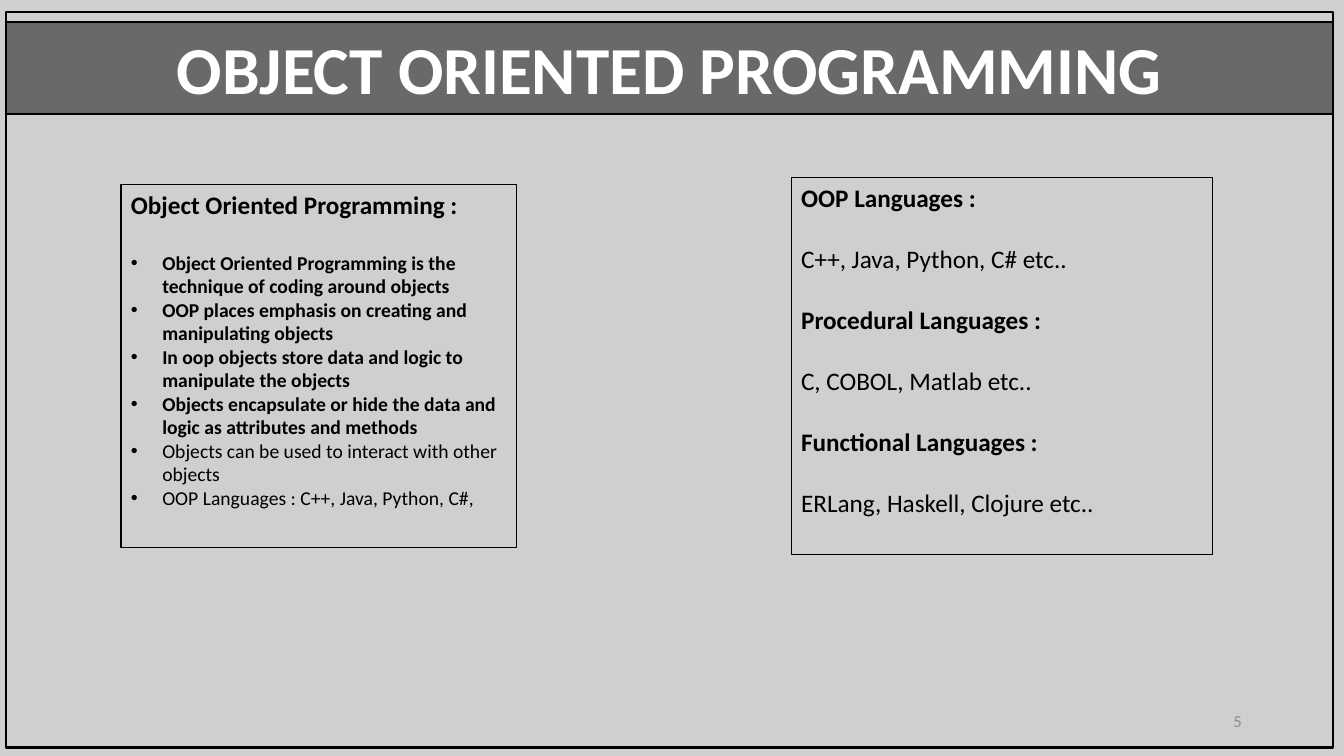
from lxml import etree
from pptx import Presentation
from pptx.dml.color import RGBColor
from pptx.enum.shapes import MSO_SHAPE
from pptx.enum.text import MSO_ANCHOR, PP_ALIGN
from pptx.oxml.ns import qn
from pptx.util import Cm, Pt

RECTANGLE = MSO_SHAPE.RECTANGLE
TOP, MIDDLE = MSO_ANCHOR.TOP, MSO_ANCHOR.MIDDLE
LEFT, CENTER, RIGHT = PP_ALIGN.LEFT, PP_ALIGN.CENTER, PP_ALIGN.RIGHT

BLACK, WHITE, GRAY, BACKDROP = "000000", "FFFFFF", "8C8C8C", "D0CECE"
BLANK_LINE = 22

TECHNIQUES = [
    ("Object Oriented Programming is the technique of coding around objects", True),
    ("OOP places emphasis on creating and manipulating objects", True),
    ("In oop objects store data and logic to manipulate the objects", True),
    ("Objects encapsulate or hide the data and logic as attributes and methods", True),
    ("Objects can be used to interact with other objects", False),
    ("OOP Languages : C++, Java, Python, C#,", False),
]
LANGUAGES = [
    ("OOP Languages :", "C++, Java, Python, C# etc.."),
    ("Procedural Languages :", "C, COBOL, Matlab etc.."),
    ("Functional Languages :", "ERLang, Haskell, Clojure etc.."),
]


def color(value):
    return RGBColor.from_string(value)


class SlideBuilder:
    font_name = "Calibri"

    def __init__(self, deck):
        self.page = deck.slides.add_slide(deck.slide_layouts[6])

    def background(self, value):
        fill = self.page.background.fill
        fill.solid()
        fill.fore_color.rgb = color(value)

    def frame(self, left, top, width, height, line_width, fill=None, opacity=100):
        box = self.page.shapes.add_shape(RECTANGLE, Cm(left), Cm(top), Cm(width), Cm(height))
        box.shadow.inherit = False
        box.line.color.rgb = color(BLACK)
        box.line.width = Pt(line_width)
        if fill:
            box.fill.solid()
            box.fill.fore_color.rgb = color(fill)
            shade = box.fill._xPr.find(".//" + qn("a:srgbClr"))
            etree.SubElement(shade, qn("a:alpha"), val=str(opacity * 1000))
        else:
            box.fill.background()
        return self.prepare(box, TOP)

    def text_box(self, left, top, width, height):
        box = self.page.shapes.add_textbox(Cm(left), Cm(top), Cm(width), Cm(height))
        return self.prepare(box, MIDDLE)

    def prepare(self, box, anchor):
        for name, value in {"word_wrap": True, "vertical_anchor": anchor}.items():
            setattr(box.text_frame, name, value)
        return box

    def paragraph(self, box, text, size=18, bold=False, ink=BLACK, align=LEFT, before=0, bullet=False):
        frame = box.text_frame
        para = frame.paragraphs[0]
        if para.runs:
            para = frame.add_paragraph()
        for name, value in {"alignment": align, "space_before": Pt(before)}.items():
            setattr(para, name, value)
        if bullet:
            self.bullet(para)
        span = para.add_run()
        span.text = text
        for name, value in {"name": self.font_name, "size": Pt(size), "bold": bold}.items():
            setattr(span.font, name, value)
        span.font.color.rgb = color(ink)

    def bullet(self, para):
        properties = para._p.get_or_add_pPr()
        indent = Cm(0.79)
        properties.set("marL", str(indent))
        properties.set("indent", str(-indent))
        etree.SubElement(properties, qn("a:buFont"), typeface="Arial")
        etree.SubElement(properties, qn("a:buChar"), char="•")


def main():
    deck = Presentation()
    deck.slide_width, deck.slide_height = Cm(33.87), Cm(19.05)
    slide = SlideBuilder(deck)
    slide.background(BACKDROP)

    slide.frame(0.15, 0.3, 33.45, 18.54, 1.75)
    banner = slide.frame(0.15, 0.56, 33.45, 2.31, 1.75, BLACK, 49)
    slide.paragraph(banner, "OBJECT ORIENTED PROGRAMMING", 48, True, WHITE, CENTER)

    concept = slide.frame(3.05, 4.65, 9.98, 9.14, 0.75)
    slide.paragraph(concept, "Object Oriented Programming :", bold=True)
    for index, (text, bold) in enumerate(TECHNIQUES):
        gap = 0 if index else BLANK_LINE
        slide.paragraph(concept, text, 14, bold, before=gap, bullet=True)

    languages = slide.frame(19.94, 4.47, 10.62, 9.5, 0.75)
    for index, (heading, examples) in enumerate(LANGUAGES):
        gap = BLANK_LINE if index else 0
        slide.paragraph(languages, heading, bold=True, before=gap)
        slide.paragraph(languages, examples, before=BLANK_LINE)

    number = slide.text_box(23.93, 17.65, 7.62, 1.02)
    slide.paragraph(number, "5", 12, ink=GRAY, align=RIGHT)

    deck.save("out.pptx")


if __name__ == "__main__":
    main()
